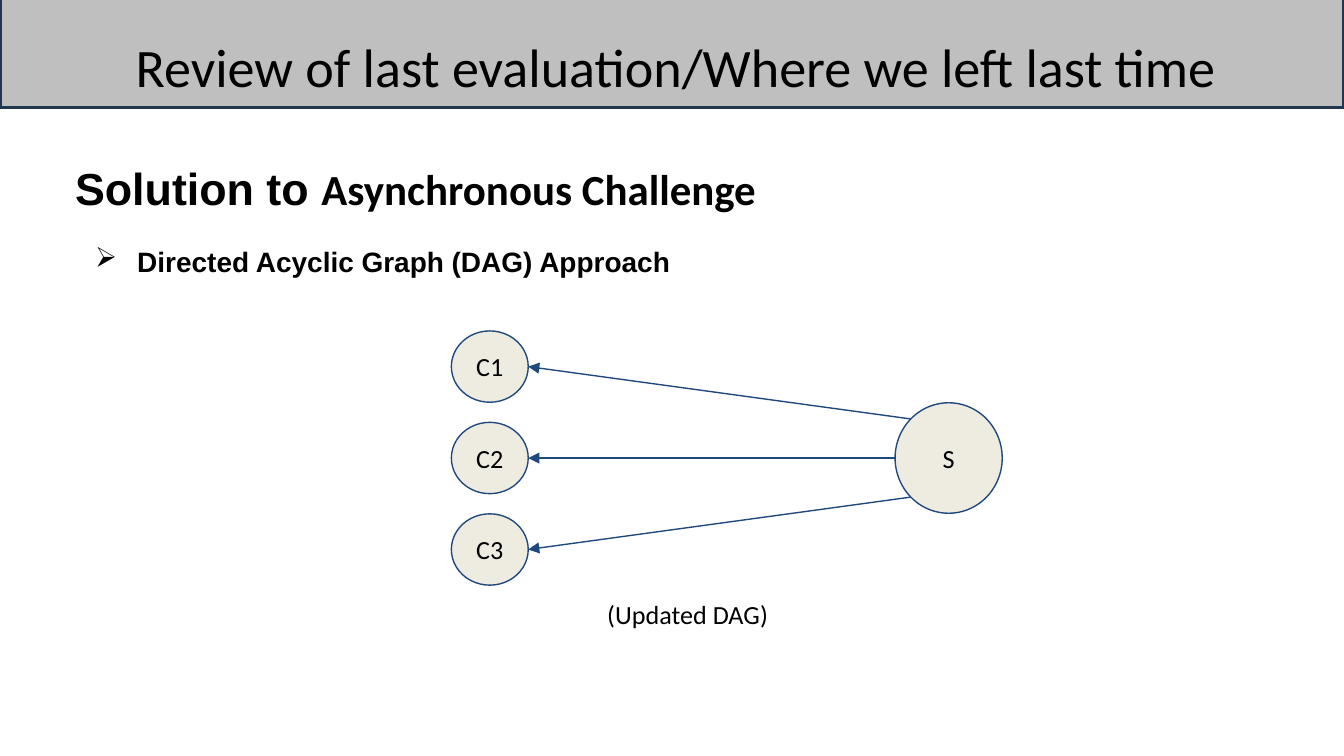
"""Build a slide showing an updated directed acyclic graph of clients and a server."""
from math import sqrt

from lxml.etree import SubElement
from pptx import Presentation
from pptx.dml.color import RGBColor
from pptx.enum.shapes import MSO_CONNECTOR, MSO_SHAPE
from pptx.enum.text import MSO_ANCHOR, MSO_AUTO_SIZE, PP_ALIGN
from pptx.oxml import parse_xml
from pptx.oxml.ns import nsdecls, qn
from pptx.util import Pt

INK, NAVY, BLUE, GREY, CREAM = "000000", "21364F", "1F497D", "BFBFBF", "EEECE1"


def color(value):
    """Return the colour for a hex string."""
    return RGBColor.from_string(value)


def points(*lengths):
    """Convert point lengths for python-pptx."""
    return [Pt(length) for length in lengths]


class SlideWriter:
    """Hold the style and the current slide."""

    def __init__(self, slide, font="Calibri", label_size=14):
        """Set the slide and its text style."""
        self.slide = slide
        self.font = font
        self.label_size = label_size

    def style(self, font, size, name=None, bold=False):
        """Format the font of a paragraph or run."""
        font.name, font.size, font.bold = name or self.font, Pt(size), bold
        font.color.rgb = color(INK)

    def insets(self, frame, across, down):
        """Set equal margins on facing sides of a text frame."""
        frame.margin_left = frame.margin_right = Pt(across)
        frame.margin_top = frame.margin_bottom = Pt(down)

    def shape(self, kind, box, fill, line, width):
        """Add a filled and outlined preset shape."""
        shape = self.slide.shapes.add_shape(kind, *points(*box))
        shape.shadow.inherit = False
        shape.fill.solid()
        shape.fill.fore_color.rgb = color(fill)
        shape.line.color.rgb = color(line)
        shape.line.width = Pt(width)
        return shape

    def title(self, text, box, banner_box):
        """Place the title over its banner."""
        title = self.slide.shapes.title
        title.left, title.top, title.width, title.height = points(*box)
        frame = title.text_frame
        frame.text = text
        frame.auto_size = MSO_AUTO_SIZE.NONE
        frame.vertical_anchor = MSO_ANCHOR.MIDDLE
        self.insets(frame, 2.7, 1.4)
        frame.paragraphs[0].alignment = PP_ALIGN.CENTER
        self.style(frame.paragraphs[0].font, 29)
        banner = self.shape(MSO_SHAPE.RECTANGLE, banner_box, GREY, NAVY, 2)
        title.element.addprevious(banner.element)

    def text(self, box, inset=3.6):
        """Add a wrapping text box and return its paragraph."""
        frame = self.slide.shapes.add_textbox(*points(*box)).text_frame
        frame.word_wrap = True
        self.insets(frame, 7.2, inset)
        return frame.paragraphs[0]

    def heading(self, box, parts):
        """Add a bold heading from parts in different fonts."""
        paragraph = self.text(box)
        for text, size, name in parts:
            run = paragraph.add_run()
            run.text = text
            self.style(run.font, size, name, bold=True)

    def bullet(self, box, text):
        """Add a bold line with an arrow bullet."""
        paragraph = self.text(box)
        paragraph.text = text
        self.style(paragraph.font, 15, "Arial", bold=True)
        properties = paragraph._p.get_or_add_pPr()
        properties.set("marL", str(Pt(22.5)))
        properties.set("indent", str(Pt(-23)))
        properties.insert(0, parse_xml(f'<a:buClr {nsdecls("a")}><a:srgbClr val="{INK}"/></a:buClr>'))
        properties.insert(1, parse_xml(f'<a:buChar {nsdecls("a")} char="➢"/>'))

    def caption(self, box, text):
        """Add a plain caption."""
        paragraph = self.text(box, inset=7.2)
        paragraph.text = text
        self.style(paragraph.font, self.label_size)

    def node(self, center, size, label):
        """Add a labelled graph node around its centre."""
        (x, y), (width, height) = center, size
        box = (x - width / 2, y - height / 2, width, height)
        frame = self.shape(MSO_SHAPE.OVAL, box, CREAM, BLUE, 0.75).text_frame
        frame.text = label
        frame.word_wrap = True
        frame.vertical_anchor = MSO_ANCHOR.MIDDLE
        self.insets(frame, 7.2, 7.2)
        frame.paragraphs[0].alignment = PP_ALIGN.CENTER
        self.style(frame.paragraphs[0].font, self.label_size)

    def arrow(self, start, end):
        """Add a straight arrow between two points."""
        edge = self.slide.shapes.add_connector(MSO_CONNECTOR.STRAIGHT, *points(*start, *end))
        edge.line.color.rgb = color(BLUE)
        edge.line.width = Pt(0.75)
        SubElement(edge.line._get_or_add_ln(), qn("a:tailEnd"), type="triangle")
        SubElement(edge.element.spPr, qn("a:effectLst"))


def main():
    """Write the slide to a file."""
    deck = Presentation()
    deck.slide_width, deck.slide_height = points(720, 405)
    writer = SlideWriter(deck.slides.add_slide(deck.slide_layouts[5]))
    writer.title("Review of last evaluation/Where we left last time",
                 (22.3, 13, 679.7, 44.6), (0, -1.4, 720, 59))
    writer.heading((33.1, 82.8, 584.6, 36),
                   [("Solution to ", 24, "Arial"), ("Asynchronous Challenge", 23, "Calibri")])
    writer.bullet((43.9, 127.4, 658, 25.2), "Directed Acyclic Graph (DAG) Approach")

    client_x, middle_y, client_gap = 262.4, 245.4, 49
    client_size = client_width, _ = 41.2, 38.2
    server_x = 508.2
    server_size = server_width, server_height = 57.4, 59.2
    clients = {name: middle_y + step * client_gap
               for step, name in zip((-1, 0, 1), ("C1", "C2", "C3"))}
    for name, y in clients.items():
        writer.node((client_x, y), client_size, name)
    writer.node((server_x, middle_y), server_size, "S")

    slant = 1 / sqrt(2)
    exits = ((slant, -slant), (1, 0), (slant, slant))
    for y, (across, down) in zip(clients.values(), exits):
        start = (server_x - across * server_width / 2, middle_y + down * server_height / 2)
        writer.arrow(start, (client_x + client_width / 2, y))
    writer.caption((318.2, 313.2, 134.6, 38.2), "(Updated DAG)")
    deck.save("out.pptx")


if __name__ == "__main__":
    main()
